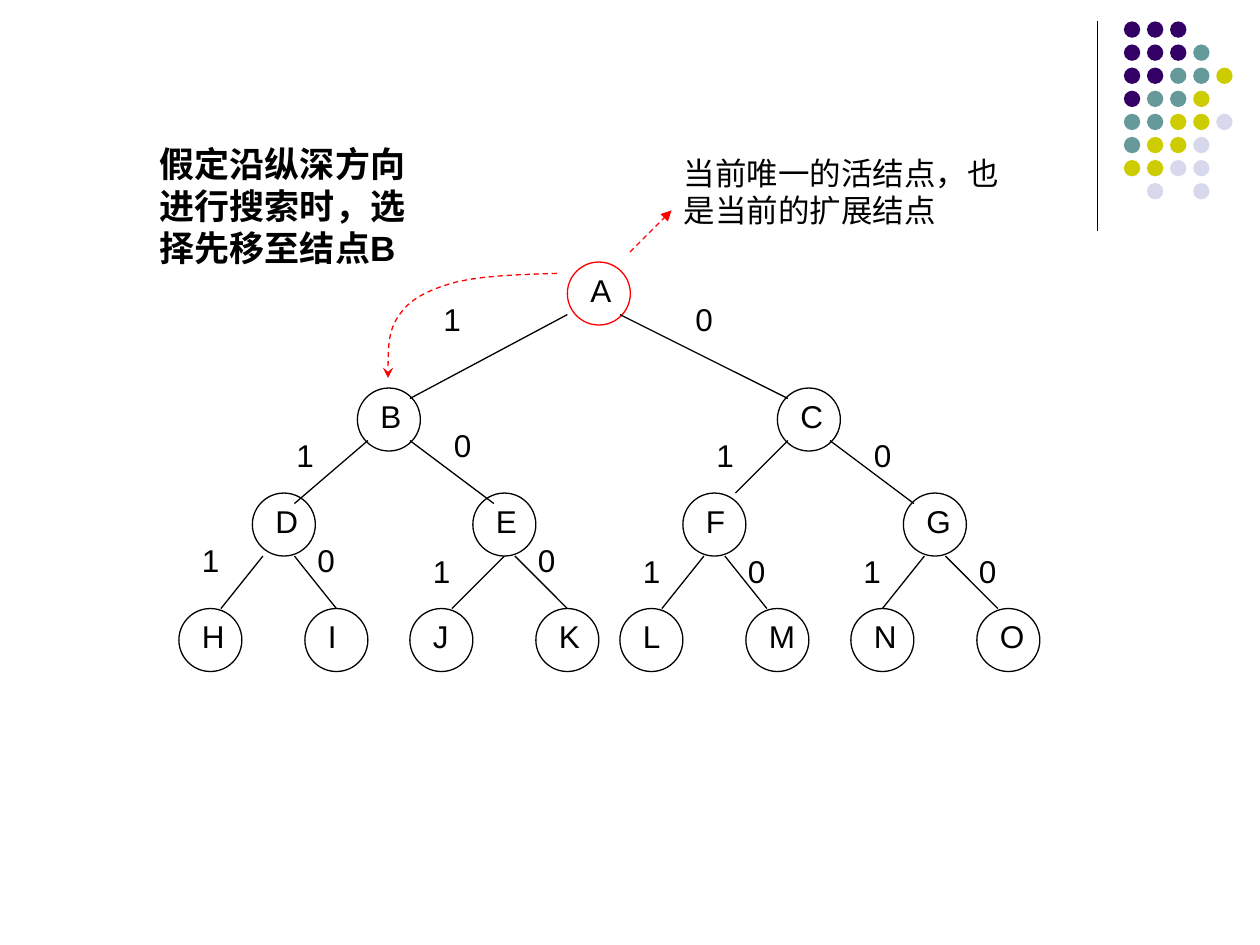
from dataclasses import dataclass

from lxml import etree
from pptx import Presentation
from pptx.dml.color import RGBColor
from pptx.enum.dml import MSO_LINE
from pptx.enum.shapes import MSO_CONNECTOR, MSO_SHAPE
from pptx.oxml.ns import qn
from pptx.util import Inches, Pt

ELLIPSE = MSO_SHAPE.OVAL
STRAIGHT = MSO_CONNECTOR.STRAIGHT
DASH = MSO_LINE.DASH


@dataclass(frozen=True)
class Theme:
    font: str = "Arial"
    body: Pt = Pt(18)
    lead: Pt = Pt(20)
    line: Pt = Pt(0.75)
    ink: RGBColor = RGBColor(0, 0, 0)
    accent: RGBColor = RGBColor(0xFF, 0, 0)


@dataclass(frozen=True)
class Box:
    left: int
    top: int
    width: int
    height: int


THEME = Theme()
UNIT = Inches(1) / 12  # the tree is laid out on a grid of twelfths of an inch
NODE_SIZE = Inches(0.5)
LABEL_WIDTH, LABEL_HEIGHT = Inches(0.42), Inches(0.4)

DOT_COLORS = {"p": "330066", "t": "669999", "y": "CCCC00", "l": "D8D8EC"}
DOT_ROWS = ["ppp", "pppt", "pptty", "ptty", "ttyyl", "tyyl", "yyll", " l l"]

# Row top, then the left of each node, in grid units
NODE_ROWS = [
    (0, {"A": 37}),
    (12, {"B": 17, "C": 57}),
    (22, {"D": 7, "E": 28, "F": 48, "G": 69}),
    (33, {"H": 0, "I": 12, "J": 22, "K": 34, "L": 42, "M": 54, "N": 64, "O": 76}),
]
# Start, end and label corner of each branch; left and right branches alternate
BRANCHES = [
    ((37, 5), (22, 13), (24, 3)), ((42, 5), (58, 13), (48, 3)),
    ((18, 17), (11, 23), (10, 16)), ((22, 17), (30, 23), (25, 15)),
    ((58, 17), (53, 22), (50, 16)), ((62, 17), (70, 23), (65, 16)),
    ((8, 28), (4, 33), (1, 26)), ((11, 28), (15, 33), (12, 26)),
    ((31, 28), (26, 33), (23, 27)), ((32, 28), (37, 33), (33, 26)),
    ((50, 28), (46, 33), (43, 27)), ((52, 28), (56, 33), (53, 27)),
    ((71, 28), (67, 33), (64, 27)), ((73, 28), (78, 33), (75, 27)),
]


def add_text(page, box, text, size=THEME.body, bold=False):
    frame = page.shapes.add_textbox(box.left, box.top, box.width, box.height).text_frame
    frame.word_wrap = True
    para = frame.paragraphs[0]
    para.text = text
    para.font.name = THEME.font
    para.font.size = size
    para.font.bold = bold
    para.font.color.rgb = THEME.ink


def style_line(shape, color, arrowhead=None):
    """Set the stroke; an arrowhead also makes it dashed."""
    shape.line.color.rgb = color
    shape.line.width = THEME.line
    if arrowhead:
        shape.line.dash_style = DASH
        stroke = shape.line._get_or_add_ln()
        etree.SubElement(stroke, qn("a:tailEnd"), type=arrowhead)


def add_line(page, start, end, color=THEME.ink, arrowhead=None):
    line = page.shapes.add_connector(STRAIGHT, *start, *end)
    style_line(line, color, arrowhead)
    etree.SubElement(line._element.spPr, qn("a:effectLst"))


def add_circle(page, left, top, size):
    circle = page.shapes.add_shape(ELLIPSE, left, top, size, size)
    circle.shadow.inherit = False
    return circle


def add_curve(page, points, color, arrowhead):
    """Draw a Bezier path: a start, then three points for each segment."""
    builder = page.shapes.build_freeform(*points[0])
    builder.add_line_segments(points[1:], close=False)
    curve = builder.convert_to_shape()
    curve.shadow.inherit = False
    curve.fill.background()
    style_line(curve, color, arrowhead)
    outline = curve._element.spPr.find(".//" + qn("a:path"))
    steps = outline.findall(qn("a:lnTo"))
    for first in range(0, len(steps), 3):
        bezier = etree.SubElement(outline, qn("a:cubicBezTo"))
        for step in steps[first:first + 3]:
            bezier.append(step[0])
            outline.remove(step)


def add_corner_ornament(page, box):
    add_line(page, (box.left, box.top), (box.left, box.top + box.height))
    pitch = Inches(0.55) / 3
    for row, keys in enumerate(DOT_ROWS):
        for column, key in enumerate(keys):
            if key == " ":
                continue
            left = box.left + Inches(0.21) + round(column * pitch)
            dot = add_circle(page, left, box.top + round(row * pitch), Inches(0.13))
            dot.fill.solid()
            dot.fill.fore_color.rgb = RGBColor.from_string(DOT_COLORS[key])
            dot.line.fill.background()


def add_tree(page, box):
    def place(column, row):
        return box.left + round(column * UNIT), box.top + round(row * UNIT)

    for row, nodes in NODE_ROWS:
        for name, column in nodes.items():
            left, top = place(column, row)
            node = add_circle(page, left, top, NODE_SIZE)
            node.fill.background()
            style_line(node, THEME.accent if name == "A" else THEME.ink)
            letter = Box(left + round(UNIT), top + Inches(0.02), LABEL_WIDTH, LABEL_HEIGHT)
            add_text(page, letter, name)

    for index, (start, end, corner) in enumerate(BRANCHES):
        add_line(page, place(*start), place(*end))
        add_text(page, Box(*place(*corner), LABEL_WIDTH, LABEL_HEIGHT), "10"[index % 2])


def add_live_node_note(page, box):
    add_text(page, box, "当前唯一的活结点，也是当前的扩展结点")
    tip = box.left, box.top + Inches(0.5)
    add_line(page, (tip[0] - Inches(0.33), tip[1] + Inches(0.33)), tip,
             THEME.accent, "triangle")


def add_search_note(page, box):
    add_text(page, box, "假定沿纵深方向进行搜索时，选择先移至结点B", THEME.lead, bold=True)
    offsets = [
        (3.25, 1.09),
        (2.93, 1.1), (2.62, 1.11), (2.41, 1.17),
        (2.21, 1.23), (2.08, 1.3), (2, 1.42),
        (1.91, 1.54), (1.91, 1.73), (1.91, 1.92),
    ]
    points = [(box.left + Inches(x), box.top + Inches(y)) for x, y in offsets]
    add_curve(page, points, THEME.accent, "stealth")


def main():
    deck = Presentation()
    deck.slide_width, deck.slide_height = Inches(10), Inches(7.5)
    page = deck.slides.add_slide(deck.slide_layouts[6])
    add_corner_ornament(page, Box(Inches(8.71), Inches(0.17), Inches(1.07), Inches(1.66)))
    add_tree(page, Box(Inches(1.42), Inches(2.08), Inches(6.83), Inches(3.25)))
    add_live_node_note(page, Box(Inches(5.33), Inches(1.17), Inches(2.92), Inches(0.7)))
    add_search_note(page, Box(Inches(1.17), Inches(1.08), Inches(2.33), Inches(1.1)))
    deck.save("out.pptx")


if __name__ == "__main__":
    main()
